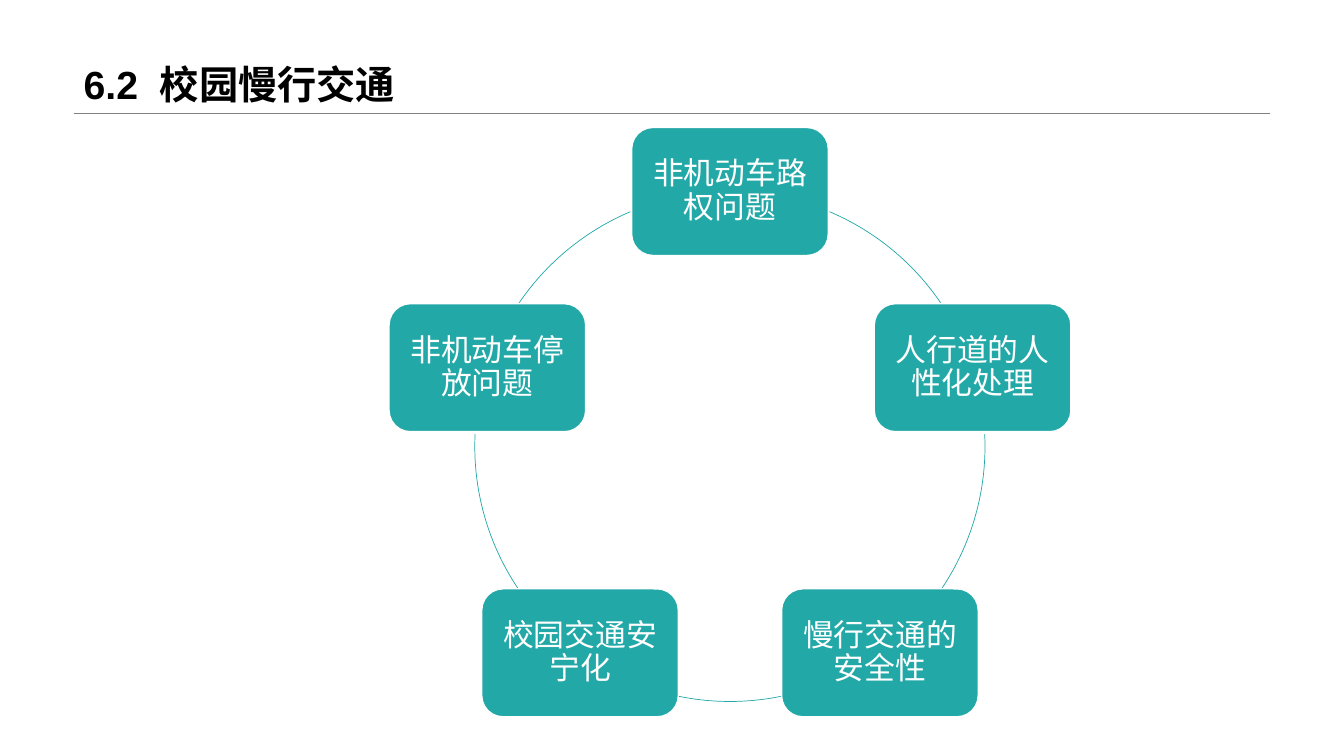
import math
from dataclasses import dataclass

import pptx
import pptx.dml.color
import pptx.enum.shapes
import pptx.enum.text
import pptx.oxml.ns
import pptx.util
from pptx.util import Inches


@dataclass(frozen=True)
class Theme:
    font: str = "Arial"
    black: str = "000000"
    white: str = "FFFFFF"
    grey: str = "808080"
    teal: str = "23A8A8"
    title_size: float = 28
    node_size: float = 22
    line_spacing: float = 0.9


class SlideBuilder:
    def __init__(self, presentation, theme):
        self.theme = theme
        self.slide = presentation.slides.add_slide(presentation.slide_layouts[5])

    def color(self, value):
        return pptx.dml.color.RGBColor.from_string(value)

    def stroke(self, line, color, width):
        line.color.rgb = self.color(color)
        line.width = pptx.util.Pt(width)

    def run(self, paragraph, text, size, color, bold=False):
        run = paragraph.add_run()
        run.text = text
        run.font.name = self.theme.font
        run.font.size = pptx.util.Pt(size)
        run.font.bold = bold
        run.font.color.rgb = self.color(color)
        return run

    def title(self, number, text, left, top, width, height):
        shape = self.slide.shapes.title
        shape.left, shape.top = Inches(left), Inches(top)
        shape.width, shape.height = Inches(width), Inches(height)
        frame = shape.text_frame
        frame.auto_size = pptx.enum.text.MSO_AUTO_SIZE.NONE
        frame.vertical_anchor = pptx.enum.text.MSO_ANCHOR.BOTTOM
        paragraph = frame.paragraphs[0]
        paragraph.alignment = pptx.enum.text.PP_ALIGN.LEFT
        paragraph.line_spacing = self.theme.line_spacing
        style = (self.theme.title_size, self.theme.black, True)
        self.run(paragraph, number, *style)
        gap = self.run(paragraph, " ", *style)
        gap.font._element.set("spc", "780")
        self.run(paragraph, text, *style)

    def rule(self, left, right, top):
        connector = self.slide.shapes.add_connector(
            pptx.enum.shapes.MSO_CONNECTOR.STRAIGHT,
            Inches(left), Inches(top), Inches(right), Inches(top))
        self.stroke(connector.line, self.theme.grey, 0.25)
        properties = connector._element.spPr
        properties.append(properties.makeelement(pptx.oxml.ns.qn("a:effectLst"), {}))

    def arc(self, center_x, center_y, radius, start, end):
        shape = self.slide.shapes.add_shape(
            pptx.enum.shapes.MSO_SHAPE.ARC,
            Inches(center_x - radius), Inches(center_y - radius),
            Inches(2 * radius), Inches(2 * radius))
        for index, angle in enumerate((start, end)):
            shape.adjustments[index] = angle % 360 * 0.6
        shape.shadow.inherit = False
        shape.fill.background()
        self.stroke(shape.line, self.theme.teal, 0.5)

    def node(self, text, center_x, center_y, width, height):
        shape = self.slide.shapes.add_shape(
            pptx.enum.shapes.MSO_SHAPE.ROUNDED_RECTANGLE,
            Inches(center_x - width / 2), Inches(center_y - height / 2),
            Inches(width), Inches(height))
        shape.shadow.inherit = False
        shape.fill.solid()
        shape.fill.fore_color.rgb = self.color(self.theme.teal)
        self.stroke(shape.line, self.theme.white, 1)
        frame = shape.text_frame
        frame.word_wrap = True
        frame.vertical_anchor = pptx.enum.text.MSO_ANCHOR.MIDDLE
        frame.margin_left = frame.margin_right = Inches(0.09)
        frame.margin_top = frame.margin_bottom = Inches(0.09)
        paragraph = frame.paragraphs[0]
        paragraph.alignment = pptx.enum.text.PP_ALIGN.CENTER
        paragraph.line_spacing = self.theme.line_spacing
        self.run(paragraph, text, self.theme.node_size, self.theme.white)


def main():
    presentation = pptx.Presentation()
    presentation.slide_width = Inches(13.33)
    presentation.slide_height = Inches(7.5)
    builder = SlideBuilder(presentation, Theme())

    builder.title("6.2", "校园慢行交通", 0.73, 0, 11.87, 1.12)
    builder.rule(0.73, 12.6, 1.12)

    center_x, center_y, radius = 7.24, 4.43, 2.53
    topics = (
        ("非机动车路权问题", 293, 325.8),
        ("人行道的人性化处理", 357.2, 33.7),
        ("慢行交通的安全性", 78.5, 101.5),
        ("校园交通安宁化", 146.3, 182.8),
        ("非机动车停放问题", 214.2, 247),
    )
    for index, (topic, arc_start, arc_end) in enumerate(topics):
        angle = math.radians(index * 360 / len(topics) - 90)
        builder.arc(center_x, center_y, radius, arc_start, arc_end)
        builder.node(topic, center_x + radius * math.cos(angle),
                     center_y + radius * math.sin(angle), 1.95, 1.27)

    presentation.save("out.pptx")


if __name__ == "__main__":
    main()
